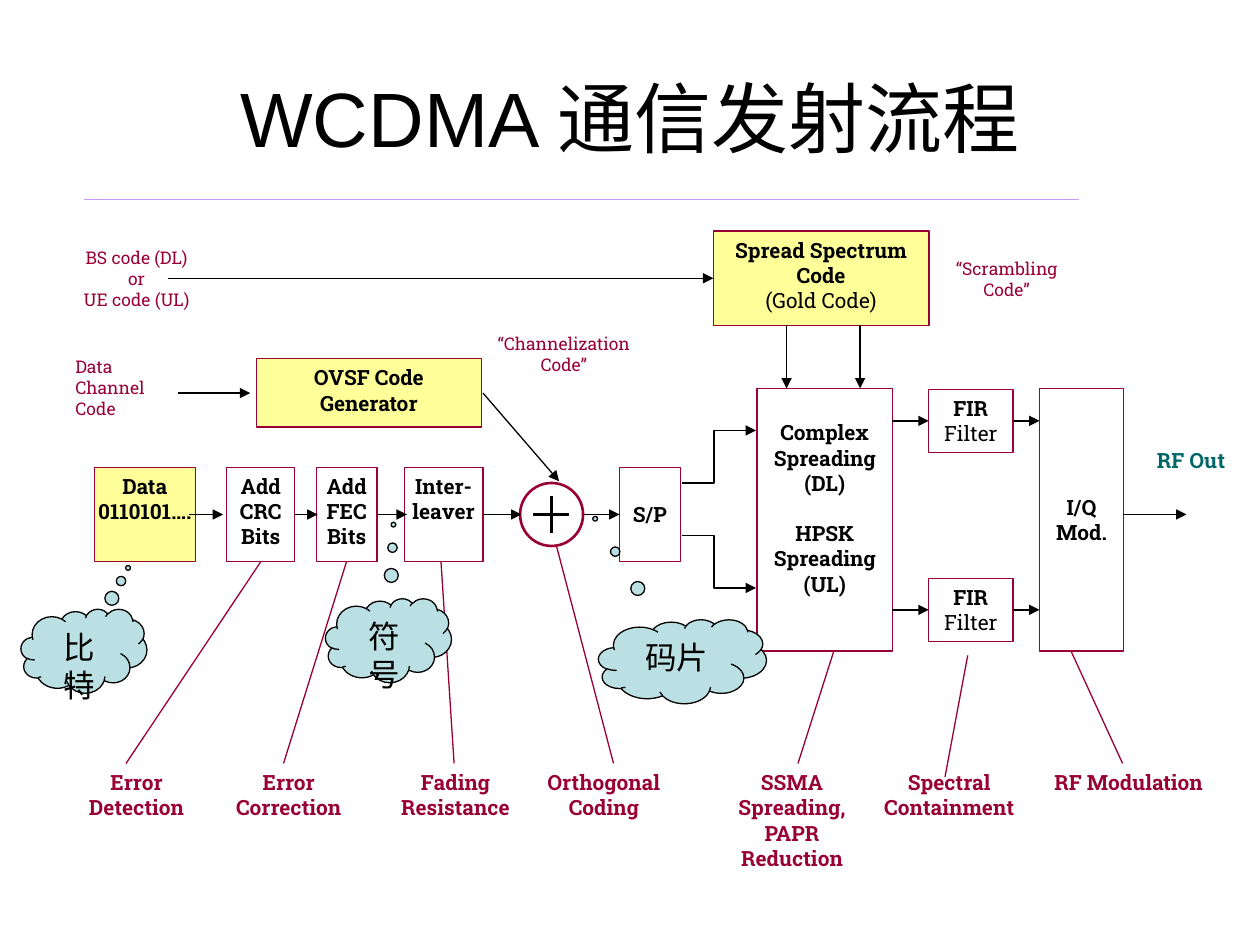
from copy import deepcopy
from dataclasses import dataclass

from lxml import etree
from pptx import Presentation
from pptx.dml.color import RGBColor
from pptx.enum.shapes import MSO_CONNECTOR, MSO_SHAPE
from pptx.enum.text import MSO_ANCHOR, PP_ALIGN
from pptx.oxml.ns import qn
from pptx.util import Pt

LEFT, CENTER = PP_ALIGN.LEFT, PP_ALIGN.CENTER
TOP, MIDDLE = MSO_ANCHOR.TOP, MSO_ANCHOR.MIDDLE
RECTANGLE, OVAL, CLOUD = MSO_SHAPE.RECTANGLE, MSO_SHAPE.OVAL, MSO_SHAPE.CLOUD_CALLOUT
STRAIGHT = MSO_CONNECTOR.STRAIGHT


@dataclass
class Theme:
    black: str = "000000"
    white: str = "FFFFFF"
    crimson: str = "990033"
    yellow: str = "FFFF99"
    teal: str = "006666"
    cloud: str = "BBE0E3"
    violet: str = "CC99FF"
    heading_font: str = "Arial"
    label_font: str = "Roboto Slab"
    title_size: float = 44
    cloud_size: float = 18
    label_size: float = 12
    note_size: float = 10


theme = Theme()


def write_text(shape, text, plain="", size=theme.label_size, color=theme.black, font=theme.label_font,
               bold=True, align=CENTER, anchor=TOP, side=7.2, top=3.6, gap=0):
    frame = shape.text_frame
    frame.word_wrap = True
    frame.vertical_anchor = anchor
    frame.margin_left = frame.margin_right = Pt(side)
    frame.margin_top, frame.margin_bottom = Pt(top), Pt(3.6)
    for index, block in enumerate(text.split("\n\n")):
        paragraph = frame.add_paragraph() if index else frame.paragraphs[0]
        paragraph.alignment = align
        paragraph.space_before = Pt(gap if index else 0)
        pieces = [(block, bold)] + ([(plain, False)] if plain else [])
        for piece, weight in pieces:
            for line_number, line in enumerate(piece.split("\n")):
                if line_number:
                    paragraph.add_line_break()
                    line_break = paragraph._p[-1]
                run = paragraph.add_run()
                run.text = line
                run.font.name, run.font.size, run.font.bold = font, Pt(size), weight
                run.font.color.rgb = RGBColor.from_string(color)
                if line_number:
                    line_break.append(deepcopy(run._r.rPr))


def draw_line(shapes, *points, color=theme.black, width=0.75, arrow=False):
    corners = [(Pt(x), Pt(y)) for x, y in points]
    if len(corners) == 2:
        line = shapes.add_connector(STRAIGHT, *corners[0], *corners[1])
    else:
        builder = shapes.build_freeform(*corners[0])
        builder.add_line_segments(corners[1:], close=False)
        line = builder.convert_to_shape()
        line.fill.background()
    line.line.color.rgb = RGBColor.from_string(color)
    line.line.width = Pt(width)
    properties = line._element.spPr
    if arrow:
        etree.SubElement(properties.find(qn("a:ln")), qn("a:tailEnd"), type="triangle")
    etree.SubElement(properties, qn("a:effectLst"))


presentation = Presentation()
presentation.slide_width, presentation.slide_height = Pt(720), Pt(540)
slide = presentation.slides.add_slide(presentation.slide_layouts[5])
shapes = slide.shapes

draw_line(shapes, (48, 114), (616.5, 114), color=theme.violet, width=1)
title = shapes.title
title.left, title.top, title.width, title.height = Pt(36), Pt(21.6), Pt(648), Pt(90)
write_text(title, "WCDMA 通信发射流程", size=theme.title_size, font=theme.heading_font,
           bold=False, anchor=MIDDLE)

row_top, row_height, row_middle = 267, 54, 294
tight = {"side": 1.4}
middle = {"anchor": MIDDLE}
fir = {"plain": " Filter", **tight}
boxes = [
    ("Data 0110101….", 54, row_top, 57.6, row_height, theme.yellow, tight),
    ("Add CRC Bits", 129.6, row_top, 38.8, row_height, None, tight),
    ("Add FEC Bits", 180.8, row_top, 34.6, row_height, None, tight),
    ("Inter-leaver", 231, row_top, 45, row_height, None, tight),
    ("S/P", 354, row_top, 34.8, row_height, None, {**tight, **middle}),
    ("Complex\nSpreading\n(DL)\n\nHPSK\nSpreading\n(UL)", 432.6, 222, 77.4, 150, None,
     {"top": 18, "gap": 14.4}),
    ("FIR", 530.7, 222.5, 48.2, 36, None, fir),
    ("FIR", 530.7, 330.5, 48.2, 36, None, fir),
    ("I/Q Mod.", 594, 222, 48, 150, None, middle),
    ("OVSF Code\nGenerator", 146.6, 205, 128.4, 39, theme.yellow, {}),
    ("Spread Spectrum Code", 407.6, 132, 123.3, 54, theme.yellow, {"plain": "\n(Gold Code)"}),
]
for text, left, top, width, height, fill, text_format in boxes:
    box = shapes.add_shape(RECTANGLE, Pt(left), Pt(top), Pt(width), Pt(height))
    box.shadow.inherit = False
    if fill:
        box.fill.solid()
        box.fill.fore_color.rgb = RGBColor.from_string(fill)
    else:
        box.fill.background()
    box.line.color.rgb = RGBColor.from_string(theme.crimson)
    box.line.width = Pt(0.75)
    write_text(box, text, **text_format)

adder = shapes.add_group_shape().shapes
circle = adder.add_shape(OVAL, Pt(297.2), Pt(276), Pt(36), Pt(36))
circle.shadow.inherit = False
circle.fill.solid()
circle.fill.fore_color.rgb = RGBColor.from_string(theme.white)
circle.line.color.rgb = RGBColor.from_string(theme.crimson)
circle.line.width = Pt(1.5)
draw_line(adder, (315, 283.6), (315, 304.4), width=1.5)
draw_line(adder, (304.6, row_middle), (325.4, row_middle), width=1.5)

for start, end in [(108, 127.5), (168, 181.5), (216, 232.5), (276, 298), (333.5, 354), (642, 678)]:
    draw_line(shapes, (start, row_middle), (end, row_middle), arrow=True)
for y in (240.5, 348.5):
    draw_line(shapes, (510, y), (530.7, y), arrow=True)
    draw_line(shapes, (579, y), (594, y), arrow=True)
for start_y, end_y in [(276, 246), (306, 336)]:
    draw_line(shapes, (390, start_y), (408, start_y), (408, end_y), (432, end_y), arrow=True)
for x in (449.5, 491.5):
    draw_line(shapes, (x, 186), (x, 222), arrow=True)
draw_line(shapes, (276, 224.6), (319.5, 275), arrow=True)
draw_line(shapes, (96, 159), (407.6, 159), arrow=True)
draw_line(shapes, (102, 224.6), (143, 224.6), arrow=True)

purpose_top = 436.3
purposes = [
    ("Error Detection", 36, 84, (72, purpose_top), (149, 321)),
    ("Error Correction", 120, 90, (162, purpose_top), (198, 321)),
    ("Fading\nResistance", 215.3, 90, (259.5, purpose_top), (252, 321)),
    ("Orthogonal Coding", 297, 96, (350.6, purpose_top), (318, 312)),
    ("SSMA Spreading, PAPR\nReduction", 404.6, 96, (456, purpose_top), (476.5, 372)),
    ("Spectral\nContainment", 491.5, 102, (540, 444), (553, 374.5)),
    ("RF Modulation", 594, 102, (641.5, purpose_top), (612, 372)),
]
crimson_bold = {"color": theme.crimson}
note = {"color": theme.crimson, "size": theme.note_size, "bold": False}
labels = [(text, left, purpose_top, width, 36, crimson_bold) for text, left, width, *_ in purposes]
labels += [
    ("“Channelization\nCode”", 275, 186.5, 94.3, 30, note),
    ("BS code (DL) or\nUE code (UL)", 36, 137.5, 84, 43, note),
    ("Data Channel Code", 36, 200, 72.7, 50, {**note, "align": LEFT}),
    ("“Scrambling Code”", 528, 144, 94.3, 30, note),
    ("RF Out", 654, 252, 56, 36, {"color": theme.teal, "align": LEFT}),
]
for _, _, _, start, end in purposes:
    draw_line(shapes, start, end, color=theme.crimson)
for text, left, top, width, height, text_format in labels:
    label = shapes.add_textbox(Pt(left), Pt(top), Pt(width), Pt(height))
    write_text(label, text, **text_format)

clouds = [
    ("比特", 12, 348, 72, (0.35, -0.99)),
    ("符号", 186, 342, 72, (0.04, -1.38)),
    ("码片", 342, 354, 96, (-0.52, -1.7)),
]
for text, left, top, width, pointer in clouds:
    cloud = shapes.add_shape(CLOUD, Pt(left), Pt(top), Pt(width), Pt(48))
    cloud.adjustments[0], cloud.adjustments[1] = pointer
    cloud.shadow.inherit = False
    cloud.fill.solid()
    cloud.fill.fore_color.rgb = RGBColor.from_string(theme.cloud)
    cloud.line.color.rgb = RGBColor.from_string(theme.black)
    cloud.line.width = Pt(0.75)
    write_text(cloud, text, size=theme.cloud_size, font=theme.heading_font, bold=False)

presentation.save("out.pptx")
